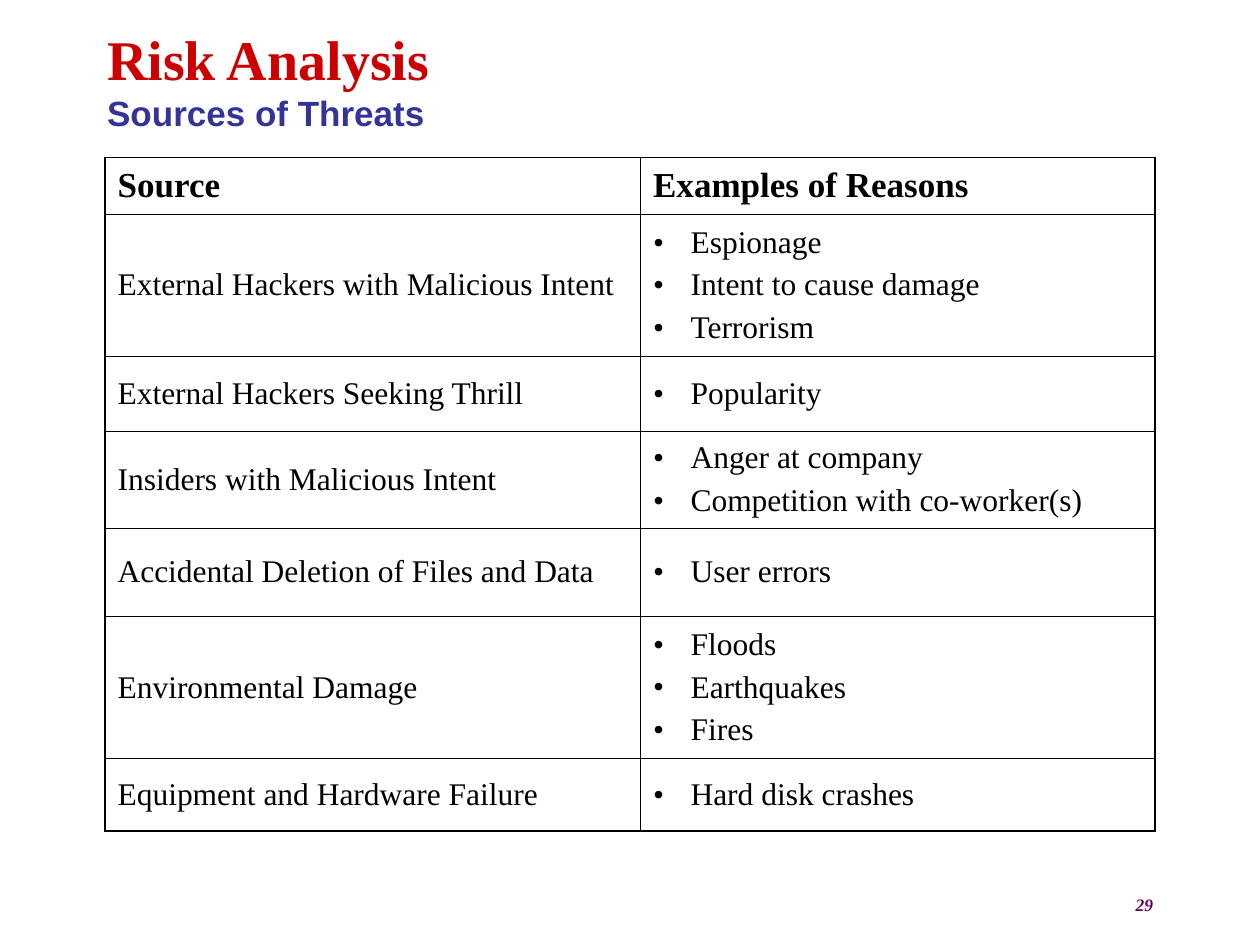
from lxml.etree import SubElement
from pptx import Presentation
from pptx.dml.color import RGBColor
from pptx.enum.text import MSO_ANCHOR as Anchor, MSO_AUTO_SIZE as AutoSize, PP_ALIGN as Align
from pptx.oxml.ns import qn
from pptx.util import Pt

SERIF = "Times New Roman"
OUTER, INNER = 1.08, 0.45
COLUMN_WIDTHS = [306, 294]
ROW_HEIGHTS = [32.4, 81.2, 42.7, 55.5, 50.4, 81.2, 41.6]
HEADINGS = ["Source", "Examples of Reasons"]
THREATS = [
    ("External Hackers with Malicious Intent", ["Espionage", "Intent to cause damage", "Terrorism"]),
    ("External Hackers Seeking Thrill", ["Popularity"]),
    ("Insiders with Malicious Intent", ["Anger at company", "Competition with co-worker(s)"]),
    ("Accidental Deletion of Files and Data", ["User errors"]),
    ("Environmental Damage", ["Floods", "Earthquakes", "Fires"]),
    ("Equipment and Hardware Failure", ["Hard disk crashes"]),
]


def color(hex_value):
    """Return the colour for a hex string."""
    return RGBColor.from_string(hex_value)


def add_text(paragraph, text, size=18, font=SERIF, fill="000000", bold=False, italic=False):
    """Append a formatted run to a paragraph."""
    run = paragraph.add_run()
    run.text = text
    run.font.size = Pt(size)
    run.font.name = font
    run.font.color.rgb = color(fill)
    run.font.bold = bold
    run.font.italic = italic


def set_bullet(paragraph, indent=21.4):
    """Give a paragraph a round bullet with a hanging indent."""
    properties = paragraph._p.get_or_add_pPr()
    properties.set("marL", str(Pt(indent)))
    properties.set("indent", str(-Pt(indent)))
    SubElement(properties, qn("a:buFont"), typeface=SERIF)
    SubElement(properties, qn("a:buChar"), char="•")


def set_borders(cell, widths):
    """Draw black cell borders from a mapping of side to width."""
    properties = cell._tc.get_or_add_tcPr()
    for side, width in widths.items():
        line = SubElement(properties, qn(f"a:ln{side}"), w=str(Pt(width)))
        fill = SubElement(line, qn("a:solidFill"))
        SubElement(fill, qn("a:srgbClr"), val="000000")


def fill_cell(cell, lines, bulleted=False, **text_format):
    """Write one paragraph per line into a cell, centred vertically."""
    cell.vertical_anchor = Anchor.MIDDLE
    cell.fill.background()
    frame = cell.text_frame
    for index, line in enumerate(lines):
        paragraph = frame.add_paragraph() if index else frame.paragraphs[0]
        if index:
            paragraph.space_before = Pt(4.5)
        if bulleted:
            set_bullet(paragraph)
        add_text(paragraph, line, **text_format)


def add_title(slide, left, top, width, height):
    """Place the title and subtitle in the title placeholder."""
    title = slide.shapes.title
    title.left, title.top, title.width, title.height = map(Pt, (left, top, width, height))
    frame = title.text_frame
    frame.auto_size = AutoSize.NONE
    frame.vertical_anchor = Anchor.TOP
    frame.margin_top = Pt(8)
    paragraph = frame.paragraphs[0]
    paragraph.alignment = Align.LEFT
    add_text(paragraph, "Risk Analysis", size=32, fill="CC0000", bold=True)
    paragraph.add_line_break()
    add_text(paragraph, "Sources of Threats", size=20, font="Arial", fill="333399", bold=True)


def add_threat_table(slide, left, top):
    """Place the table of threat sources and their reasons."""
    row_count, column_count = len(ROW_HEIGHTS), len(COLUMN_WIDTHS)
    table = slide.shapes.add_table(
        row_count, column_count, Pt(left), Pt(top),
        Pt(sum(COLUMN_WIDTHS)), Pt(sum(ROW_HEIGHTS))).table
    table.first_row = table.horz_banding = False
    for column, width in zip(table.columns, COLUMN_WIDTHS):
        column.width = Pt(width)
    for row_index, (row, height) in enumerate(zip(table.rows, ROW_HEIGHTS)):
        row.height = Pt(height)
        for column_index, cell in enumerate(row.cells):
            edges = {"L": column_index == 0, "R": column_index == column_count - 1,
                     "T": row_index == 0, "B": row_index == row_count - 1}
            set_borders(cell, {side: OUTER if edge else INNER for side, edge in edges.items()})
    for column_index, heading in enumerate(HEADINGS):
        fill_cell(table.cell(0, column_index), [heading], size=20, bold=True)
    for row_index, (source, reasons) in enumerate(THREATS, start=1):
        fill_cell(table.cell(row_index, 0), [source])
        fill_cell(table.cell(row_index, 1), reasons, bulleted=True)


def add_page_number(slide, left, top, width, height):
    """Place the page number at the lower right."""
    frame = slide.shapes.add_textbox(*map(Pt, (left, top, width, height))).text_frame
    frame.word_wrap = True
    frame.margin_top = Pt(19)
    paragraph = frame.paragraphs[0]
    paragraph.alignment = Align.RIGHT
    add_text(paragraph, "29", size=10, fill="660066", bold=True, italic=True)


def main():
    """Build and save the presentation."""
    presentation = Presentation()
    presentation.slide_width, presentation.slide_height = Pt(720), Pt(540)
    slide = presentation.slides.add_slide(presentation.slide_layouts[5])
    add_page_number(slide, 516, 492, 150, 36)
    add_title(slide, 54, 6, 612, 90)
    add_threat_table(slide, 60, 90)
    presentation.save("out.pptx")


if __name__ == "__main__":
    main()
